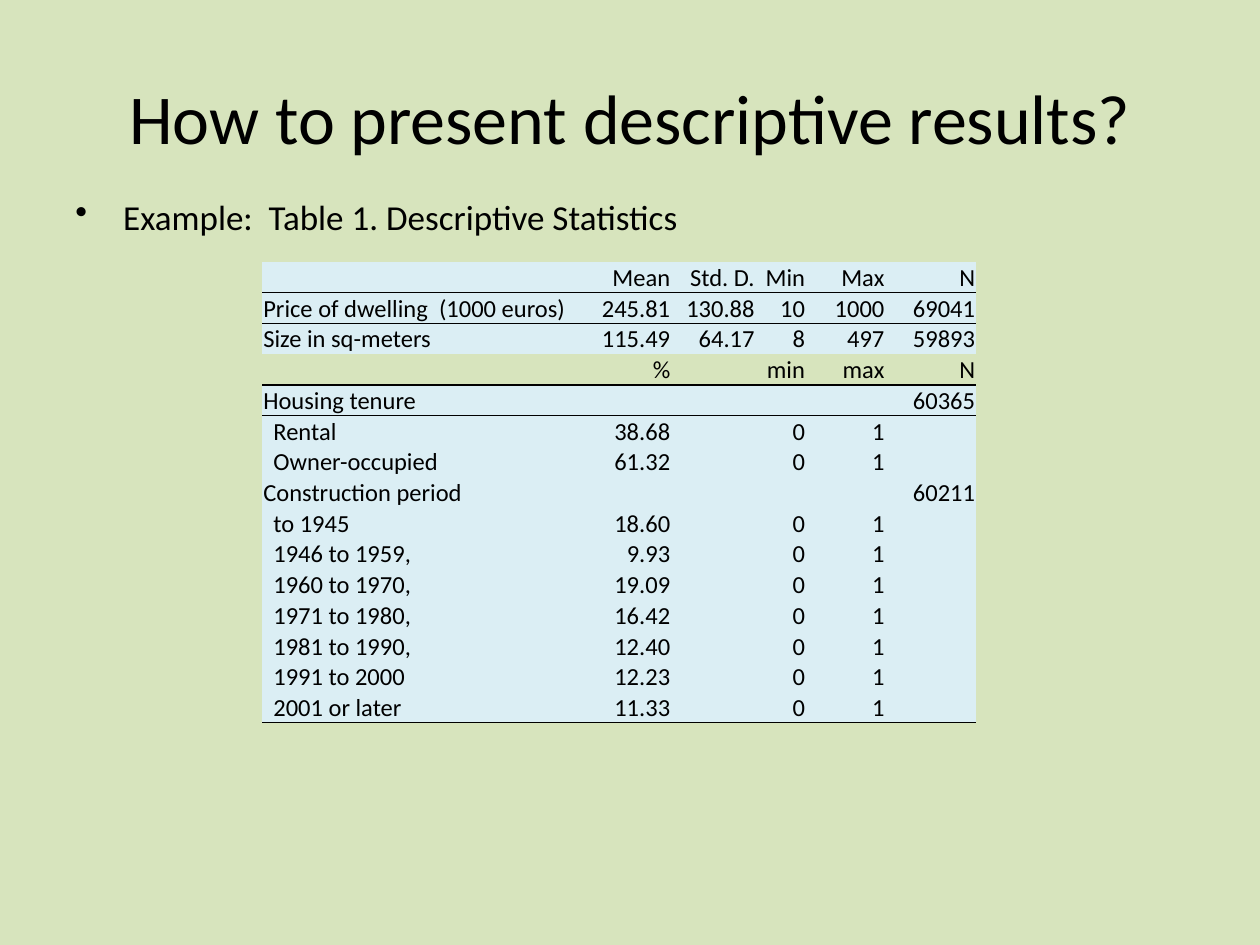
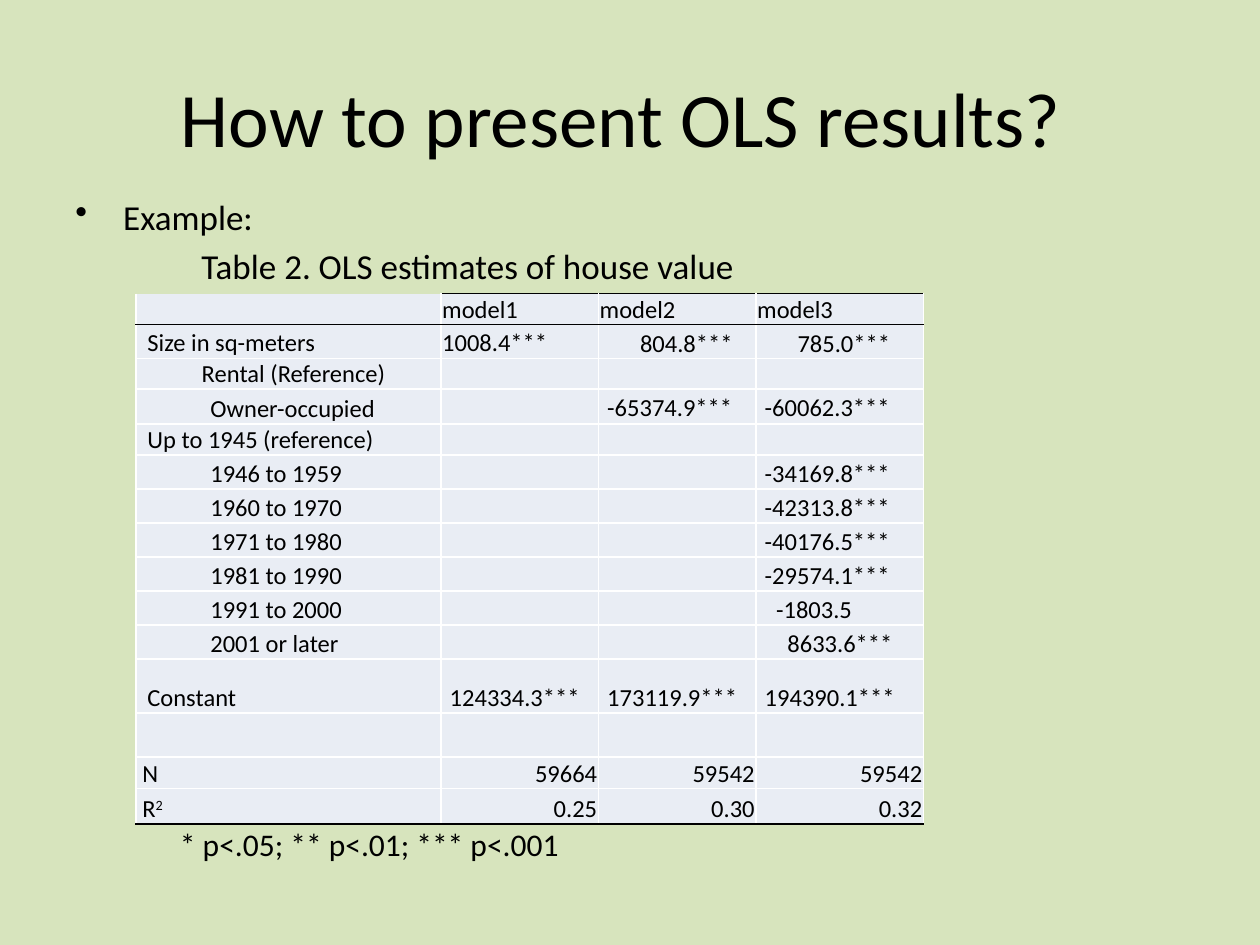
from dataclasses import dataclass

from lxml import etree
from pptx import Presentation
from pptx import util as u
from pptx.dml.color import RGBColor
from pptx.enum import text
from pptx.oxml import ns

ALIGN = text.PP_ALIGN
ANCHOR = text.MSO_ANCHOR
NO_GRID_STYLE = "{2D5ABB26-0587-4C30-8999-92F81FD0307C}"


@dataclass(frozen=True)
class Theme:
    font: str = "Calibri"
    background: str = "D7E4BD"
    ink: str = "000000"
    grid: str = "FFFFFF"
    statistics_fill: str = "DBEEF4"
    estimates_fill: str = "E9EDF4"
    body_size: int = 20
    note_size: int = 18
    table_size: int = 14


@dataclass
class Cell:
    text: str = ""
    left: float = 0.01
    right: float = 0.01
    top: float = 0.01
    align: int = ALIGN.LEFT
    anchor: int = ANCHOR.BOTTOM
    spacing: float = 1
    superscript: str = ""


def number(value):
    return Cell(value, align=ALIGN.RIGHT)


def estimate(value, left=0.07, anchor=ANCHOR.TOP):
    return Cell(value, left, 0.07, 0, anchor=anchor, spacing=1.15)


class Deck:
    def __init__(self, theme):
        self.theme = theme
        self.prs = Presentation()
        self.prs.slide_width, self.prs.slide_height = u.Inches(10), u.Inches(7.5)
        fill = self.prs.slide_master.background.fill
        fill.solid()
        fill.fore_color.rgb = RGBColor.from_string(theme.background)
        self.s = None

    def style(self, p, size, align=ALIGN.LEFT):
        p.alignment = align
        p.font.name = self.theme.font
        p.font.size = u.Pt(size)
        p.font.color.rgb = RGBColor.from_string(self.theme.ink)

    def slide(self, title, size):
        self.s = self.prs.slides.add_slide(self.prs.slide_layouts[5])
        sp = self.s.shapes.title
        sp.left, sp.top = u.Inches(0.5), u.Inches(0.3)
        sp.width, sp.height = u.Inches(9), u.Inches(1.25)
        tf = sp.text_frame
        tf.text = title
        tf.vertical_anchor = ANCHOR.MIDDLE
        tf.auto_size = text.MSO_AUTO_SIZE.NONE
        self.style(tf.paragraphs[0], size, ALIGN.CENTER)

    def textbox(self, left, top, width, height, wrap=True):
        sp = self.s.shapes.add_textbox(*map(u.Inches, (left, top, width, height)))
        sp.text_frame.word_wrap = wrap
        return sp.text_frame

    def body(self, bullet, caption=None):
        tf = self.textbox(0.5, 1.5, 9, 5.2)
        p = tf.paragraphs[0]
        p.text = bullet
        self.style(p, self.theme.body_size)
        pPr = p._p.get_or_add_pPr()
        pPr.set("marL", str(u.Inches(0.38)))
        pPr.set("indent", str(u.Inches(-0.38)))
        mark = etree.Element(ns.qn("a:buChar"), char="•")
        pPr.find(ns.qn("a:defRPr")).addprevious(mark)
        if caption:
            p = tf.add_paragraph()
            p.text = caption
            self.style(p, self.theme.body_size)
            p.space_before = u.Pt(4)
            p._p.get_or_add_pPr().set("marL", str(u.Inches(1)))

    def note(self, words, left, top, width, height):
        p = self.textbox(left, top, width, height, wrap=False).paragraphs[0]
        p.text = words
        self.style(p, self.theme.note_size)

    def border(self, cell, side, color, width):
        tcPr = cell._tc.get_or_add_tcPr()
        ln = etree.SubElement(tcPr, ns.qn(f"a:ln{side}"), w=str(u.Pt(width)))
        fill = etree.SubElement(ln, ns.qn("a:solidFill"))
        etree.SubElement(fill, ns.qn("a:srgbClr"), val=color)

    def fill_cell(self, target, cell, color):
        target.margin_left, target.margin_right = u.Inches(cell.left), u.Inches(cell.right)
        target.margin_top, target.margin_bottom = u.Inches(cell.top), 0
        target.vertical_anchor = cell.anchor
        p = target.text_frame.paragraphs[0]
        if cell.text:
            p.add_run().text = cell.text
        if cell.superscript:
            r = p.add_run()
            r.text = cell.superscript
            r._r.get_or_add_rPr().set("baseline", "30000")
        self.style(p, self.theme.table_size, cell.align)
        p.line_spacing = cell.spacing
        if color:
            target.fill.solid()
            target.fill.fore_color.rgb = RGBColor.from_string(color)
        else:
            target.fill.background()

    def table(self, left, top, widths, heights, rows, color, rules, grid=False, clear_rows=()):
        frame = self.s.shapes.add_table(
            len(rows), len(widths), u.Inches(left), u.Inches(top),
            u.Inches(sum(widths)), u.Inches(sum(heights)))
        table = frame.table
        table.first_row = table.horz_banding = False
        table._tbl.tblPr.find(ns.qn("a:tableStyleId")).text = NO_GRID_STYLE
        for column, width in zip(table.columns, widths):
            column.width = u.Inches(width)
        for row, height in zip(table.rows, heights):
            row.height = u.Inches(height)
        for i, row in enumerate(rows):
            for j, cell in enumerate(row):
                target = table.cell(i, j)
                if grid:
                    for side in "LR":
                        self.border(target, side, self.theme.grid, 1)
                for side, edge in (("T", i), ("B", i + 1)):
                    blank_corner = edge == 0 and j == 0
                    if edge in rules and not blank_corner:
                        self.border(target, side, self.theme.ink, rules[edge])
                    elif grid and edge:
                        self.border(target, side, self.theme.grid, 1)
                self.fill_cell(target, cell, None if i in clear_rows else color)


def statistics_rows():
    def share(label, percent):
        return label, percent, "", "0", "1", ""

    measures = [
        ("", "Mean", "Std. D.", "Min", "Max", "N"),
        ("Price of dwelling  (1000 euros)", "245.81", "130.88", "10", "1000", "69041"),
        ("Size in sq-meters", "115.49", "64.17", "8", "497", "59893"),
        ("", "%", "", "min", "max", "N"),
    ]
    groups = [
        ("Housing tenure", "60365", [("Rental", "38.68"), ("Owner-occupied", "61.32")]),
        ("Construction period", "60211", [
            ("to 1945", "18.60"), ("1946 to 1959,", "9.93"), ("1960 to 1970,", "19.09"),
            ("1971 to 1980,", "16.42"), ("1981 to 1990,", "12.40"),
            ("1991 to 2000", "12.23"), ("2001 or later", "11.33")]),
    ]
    rows = [[Cell(row[0]), *map(number, row[1:])] for row in measures]
    for name, count, shares in groups:
        rows.append([Cell(name), *map(number, ("", "", "", "", count))])
        for item in shares:
            label, *values = share(*item)
            rows.append([Cell(label, left=0.09), *map(number, values)])
    return rows


def estimate_rows():
    label, category = 0.09, 0.59
    periods = [
        ("1946 to 1959", "-34169.8***", 0.07), ("1960 to 1970", "-42313.8***", 0.07),
        ("1971 to 1980", "-40176.5***", 0.07), ("1981 to 1990", "-29574.1***", 0.07),
        ("1991 to 2000", "-1803.5", 0.16), ("2001 or later", "8633.6***", 0.25),
    ]
    constants = ("124334.3***", "173119.9***", "194390.1***")
    return [
        [Cell(), Cell("model1"), Cell("model2"), Cell("model3")],
        [Cell("Size in sq-meters", label), Cell("1008.4***"),
         estimate("804.8***", 0.33), estimate("785.0***", 0.33)],
        [Cell("Rental (Reference)", label, align=ALIGN.CENTER), Cell(), Cell(), Cell()],
        [Cell("Owner-occupied", category), Cell(),
         estimate("-65374.9***"), estimate("-60062.3***")],
        [Cell("Up to 1945 (reference)", label), Cell(), Cell(), Cell()],
        *[[Cell(period, category), Cell(), Cell(), estimate(value, left)]
          for period, value, left in periods],
        [Cell("Constant", label), *[estimate(c, anchor=ANCHOR.BOTTOM) for c in constants]],
        [Cell(), Cell(), Cell(), Cell()],
        [Cell("N", 0.05), *map(number, ("59664", "59542", "59542"))],
        [Cell("R", 0.05, superscript="2"), *map(number, ("0.25", "0.30", "0.32"))],
    ]


def main():
    theme = Theme()
    deck = Deck(theme)

    deck.slide("How to present descriptive results?", 40)
    deck.body("Example:  Table 1. Descriptive Statistics")
    rows = statistics_rows()
    deck.table(2.08, 2.08, [2.52, 0.73, 0.67, 0.4, 0.63, 0.72], [0.24] * len(rows), rows,
               theme.statistics_fill, {1: 0.5, 4: 1, len(rows): 0.5}, clear_rows=(3,))

    deck.slide("How to present OLS results? ", 44)
    deck.body("Example:", "Table 2. OLS estimates of house value")
    rows = estimate_rows()
    heights = [0.24, 0.27, 0.24, 0.28, 0.24, *[0.27] * 6, 0.43, 0.35, 0.25, 0.28]
    deck.table(1.08, 2.33, [2.42, 1.25, 1.25, 1.33], heights, rows,
               theme.estimates_fill, {0: 1, 1: 1, len(rows): 1}, grid=True)
    deck.note("* p<.05; ** p<.01; *** p<.001", 1.33, 6.5, 3.25, 0.4)

    deck.prs.save("out.pptx")


if __name__ == "__main__":
    main()
